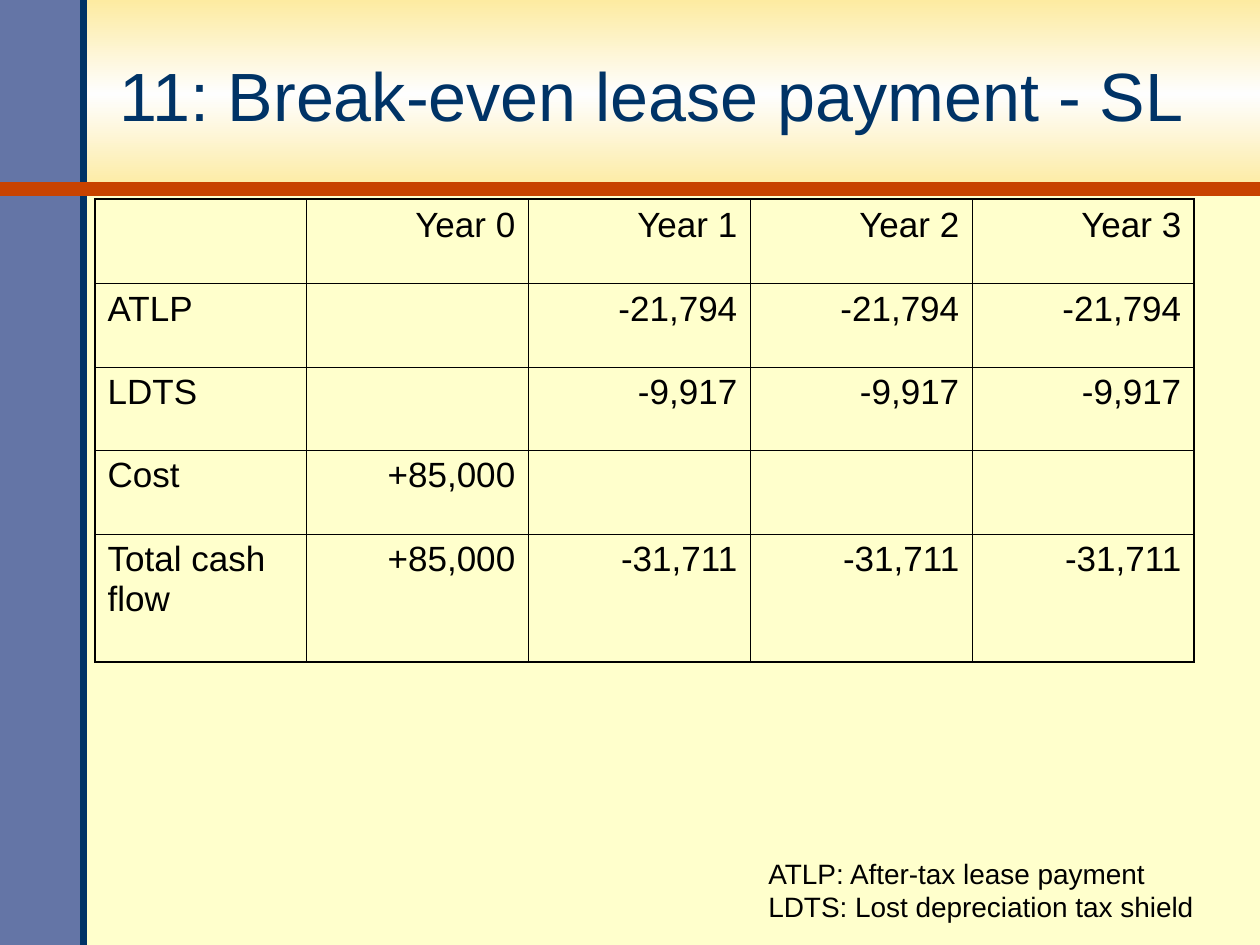
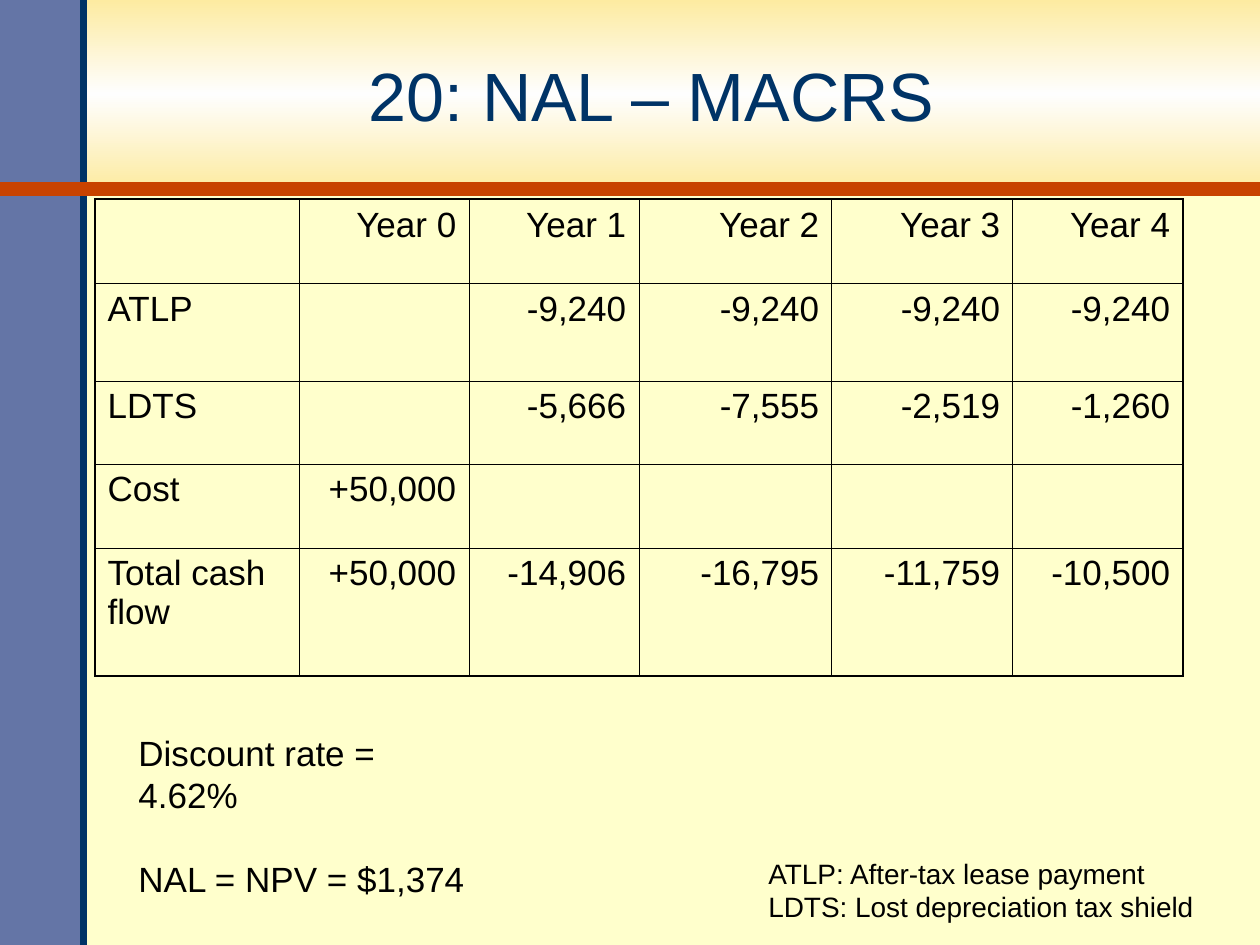
from copy import deepcopy
from itertools import product

from lxml import etree
from pptx import Presentation
from pptx.dml.color import RGBColor
from pptx.enum.shapes import MSO_CONNECTOR, MSO_SHAPE
from pptx.enum.text import MSO_ANCHOR, PP_ALIGN
from pptx.oxml.ns import qn
from pptx.util import Emu, Pt

RECT = MSO_SHAPE.RECTANGLE
STRAIGHT = MSO_CONNECTOR.STRAIGHT
LEFT, MID, RIGHT = PP_ALIGN.LEFT, PP_ALIGN.CENTER, PP_ALIGN.RIGHT
TOP, CENTER = MSO_ANCHOR.TOP, MSO_ANCHOR.MIDDLE

SCALE = 914400 / 126
WIDE, HIGH = 1260, 945
BAND, SIDE = 189, 84


class Theme:
    page = "FFFFCC"
    glow = ((0, "FDEBA1"), (0.5, "FEFEFE"), (1, "FDEBA1"))
    side = "6475A6"
    navy = "003366"
    rust = "C84300"
    ink = "000000"
    font = "Arial"
    title, body, note = 39, 20, 16
    outer, inner = 1.08, 0.45


def px(*vals):
    return [Emu(round(v * SCALE)) for v in vals]


def rgb(code):
    return RGBColor.from_string(code)


def put(item, values):
    for name, value in values.items():
        setattr(item, name, value)


# Text
def write(frame, lines, size, color=Theme.ink, align=LEFT, gap=0):
    for i, line in enumerate(lines):
        para = frame.add_paragraph() if i else frame.paragraphs[0]
        para.text = line
        para.alignment = align
        if i and gap:
            para.space_before = Pt(gap)
        put(para.font, {"name": Theme.font, "size": Pt(size)})
        para.font.color.rgb = rgb(color)


def add_text(slide, box, lines, size, anchor=TOP, **style):
    frame = slide.shapes.add_textbox(*px(*box)).text_frame
    put(frame, {"word_wrap": True, "vertical_anchor": anchor})
    write(frame, lines, size, **style)


# Bands and rules
def add_band(slide, box):
    band = slide.shapes.add_shape(RECT, *px(*box))
    band.shadow.inherit = False
    band.line.fill.background()
    return band


def add_glow(slide, box):
    band = add_band(slide, box)
    band.fill.gradient()
    band.fill.gradient_angle = 90
    stops = band._element.spPr.find(qn("a:gradFill")).find(qn("a:gsLst"))
    stops.insert(1, deepcopy(stops[0]))
    for stop, (place, color) in zip(band.fill.gradient_stops, Theme.glow):
        stop.position = place
        stop.color.rgb = rgb(color)


def add_rule(slide, ends, color, width):
    rule = slide.shapes.add_connector(STRAIGHT, *px(*ends))
    rule.line.color.rgb = rgb(color)
    rule.line.width = Pt(width)
    etree.SubElement(rule._element.spPr, qn("a:effectLst"))


# Cash flow table
def add_edge(cell, side, width):
    props = cell._tc.get_or_add_tcPr()
    edge = etree.SubElement(props, qn(f"a:ln{side}"), w=str(Pt(width)))
    fill = etree.SubElement(edge, qn("a:solidFill"))
    etree.SubElement(fill, qn("a:srgbClr"), val=Theme.ink)


def add_flows(slide, cols, rows, data):
    box = px(95, 199, sum(cols), sum(rows))
    table = slide.shapes.add_table(len(rows), len(cols), *box).table
    put(table, {"first_row": False, "horz_banding": False})
    for col, width in zip(table.columns, px(*cols)):
        col.width = width
    for row, height in zip(table.rows, px(*rows)):
        row.height = height
    last_r, last_c = len(rows) - 1, len(cols) - 1
    for r, c in product(range(len(rows)), range(len(cols))):
        cell = table.cell(r, c)
        write(cell.text_frame, [data[r][c]], Theme.body,
              align=RIGHT if c else LEFT)
        rims = {"L": c == 0, "R": c == last_c, "T": r == 0, "B": r == last_r}
        for side, rim in rims.items():
            add_edge(cell, side, Theme.outer if rim else Theme.inner)
        cell.fill.background()


# Shared slide frame
def add_slide(deck, title):
    slide = deck.slides.add_slide(deck.slide_layouts[6])
    add_glow(slide, (0, 0, WIDE, BAND))
    side = add_band(slide, (0, 0, SIDE, HIGH))
    side.fill.solid()
    side.fill.fore_color.rgb = rgb(Theme.side)
    add_rule(slide, (SIDE, HIGH, SIDE, 0), Theme.navy, 4)
    add_rule(slide, (0, BAND, WIDE, BAND), Theme.rust, 8)
    add_text(slide, (82, 19, 1139, 151), [title], Theme.title,
             anchor=CENTER, color=Theme.navy, align=MID)
    return slide


def add_key(slide):
    lines = ["ATLP: After-tax lease payment",
             "LDTS: Lost depreciation tax shield"]
    add_text(slide, (756, 850, 451, 81), lines, Theme.note)


def years(count):
    return [""] + [f"Year {n}" for n in range(count)]


def main():
    deck = Presentation()
    deck.slide_width, deck.slide_height = px(WIDE, HIGH)
    back = deck.slide_master.background.fill
    back.solid()
    back.fore_color.rgb = rgb(Theme.page)

    # Break-even payment
    slide = add_slide(deck, "11: Break-even lease payment - SL")
    add_flows(slide, [211] + [222] * 4, [84, 84, 83, 84, 128], [
        years(4),
        ["ATLP", ""] + ["-21,794"] * 3,
        ["LDTS", ""] + ["-9,917"] * 3,
        ["Cost", "+85,000"] + [""] * 3,
        ["Total cash flow", "+85,000"] + ["-31,711"] * 3,
    ])
    add_key(slide)

    # Net advantage to leasing
    slide = add_slide(deck, "20: NAL – MACRS")
    add_flows(slide, [204, 170, 170, 193, 181, 170], [84, 98, 83, 84, 128], [
        years(5),
        ["ATLP", ""] + ["-9,240"] * 4,
        ["LDTS", "", "-5,666", "-7,555", "-2,519", "-1,260"],
        ["Cost", "+50,000"] + [""] * 4,
        ["Total cash flow", "+50,000",
         "-14,906", "-16,795", "-11,759", "-10,500"],
    ])
    add_key(slide)
    add_text(slide, (126, 725, 370, 181),
             ["Discount rate = 4.62%", "NAL = NPV = $1,374"],
             Theme.body, gap=24)

    deck.save("out.pptx")


if __name__ == "__main__":
    main()
